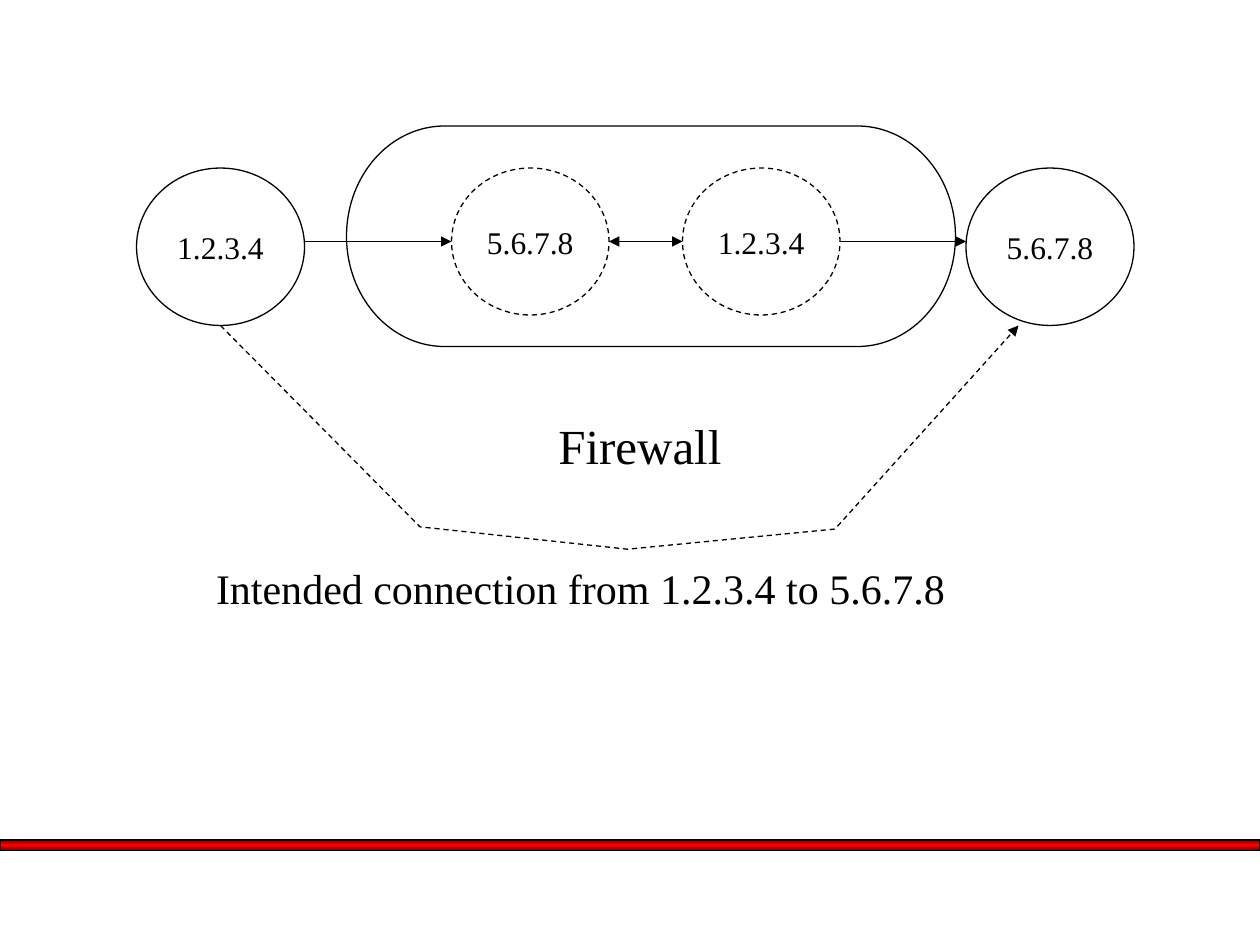
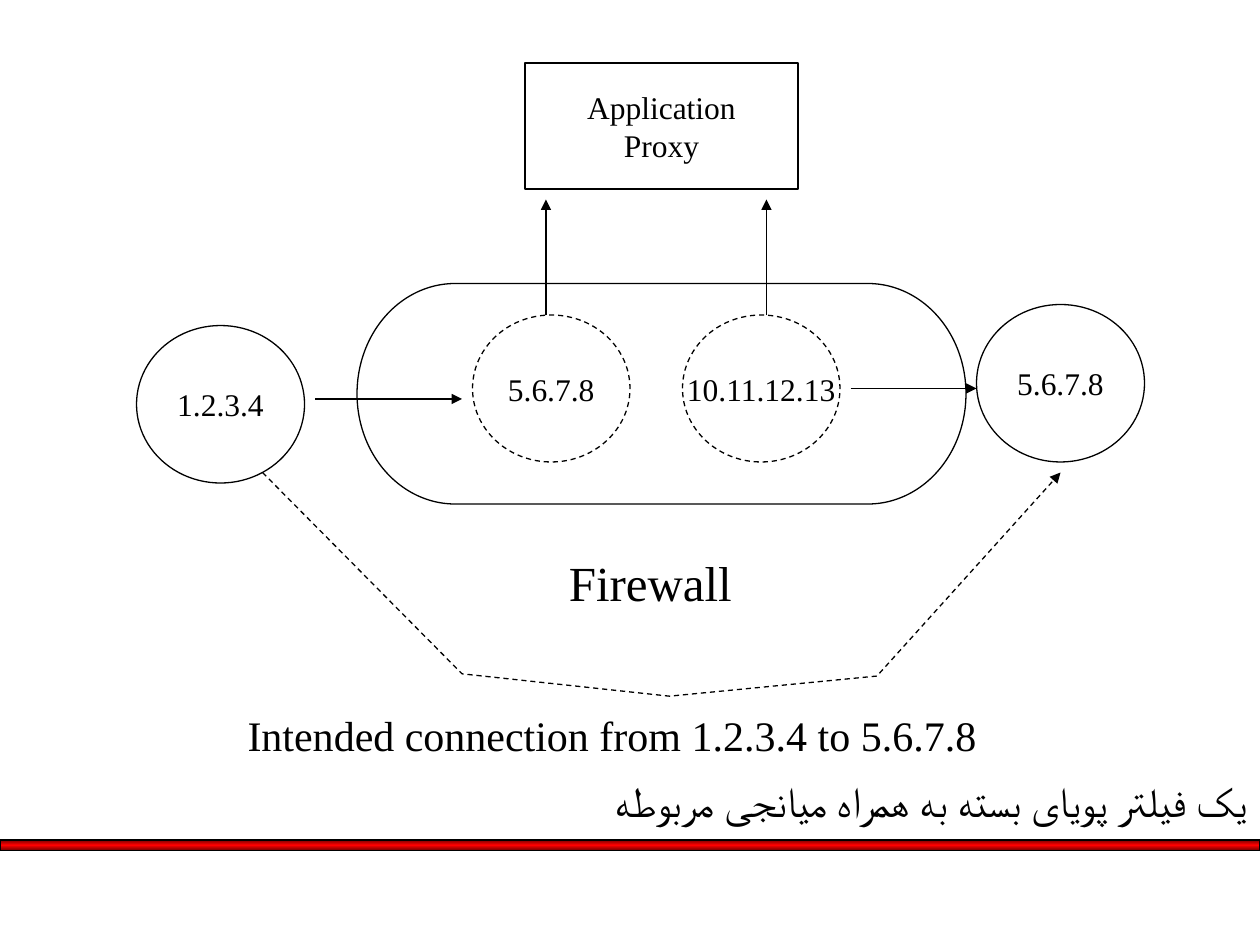
from pptx import Presentation
from pptx import util as u
from pptx.dml.color import RGBColor
from pptx.enum import dml, shapes, text
from pptx.oxml.ns import qn
from lxml import etree

BLACK = RGBColor(0x00, 0x00, 0x00)
RED = RGBColor(0xFF, 0x00, 0x00)
DARK_RED = RGBColor(0x76, 0x00, 0x00)
FONT = "Times New Roman"
WIDTH, HEIGHT = u.Inches(10), u.Inches(7.5)
COLS, ROWS = 120, 90
SHAPE = shapes.MSO_SHAPE
DASH = dml.MSO_LINE.DASH
CENTER, RIGHT = text.PP_ALIGN.CENTER, text.PP_ALIGN.RIGHT
HOST_SIZE, ENDPOINT_SIZE = (16, 15), (15, 14)
DETOUR_SHARES = [(0, 0), (0.25, 0.9), (0.51, 1), (0.77, 0.91), (1, 0)]


def grid(*cells):
    """Turn alternating column and row counts into lengths."""
    units = (WIDTH / COLS, HEIGHT / ROWS)
    return [u.Emu(round(n * units[i % 2])) for i, n in enumerate(cells)]


def write(tf, words, size=18, align=None, wrap=False, middle=False, rtl=False):
    tf.word_wrap = wrap
    tf.vertical_anchor = text.MSO_ANCHOR.MIDDLE if middle else text.MSO_ANCHOR.TOP
    p = tf.paragraphs[0]
    p.text = words
    p.alignment = align
    if rtl:
        p._p.get_or_add_pPr().set("rtl", "1")
    for r in p.runs:
        r.font.name, r.font.size = FONT, u.Pt(size)
        r.font.color.rgb = BLACK
        etree.SubElement(r._r.get_or_add_rPr(), qn("a:cs"), typeface=FONT)


def label(s, box, words, **style):
    write(s.shapes.add_textbox(*grid(*box)).text_frame, words, **style)


def outline(sp, dash=None, head=False, tail=False):
    sp.line.color.rgb = BLACK
    sp.line.width = u.Pt(0.75)
    if dash:
        sp.line.dash_style = dash
    ln = sp.line._get_or_add_ln()
    for tag, wanted in (("a:headEnd", head), ("a:tailEnd", tail)):
        if wanted:
            etree.SubElement(ln, qn(tag), type="triangle")


def node(s, kind, box, words=None, dash=None):
    sp = s.shapes.add_shape(kind, *grid(*box))
    sp.shadow.inherit = False
    sp.fill.background()
    outline(sp, dash)
    if words:
        write(sp.text_frame, words, align=CENTER, middle=True)


def arrow(s, start, end, head=False):
    c = s.shapes.add_connector(shapes.MSO_CONNECTOR.STRAIGHT, *grid(*start, *end))
    outline(c, head=head, tail=True)
    etree.SubElement(c._element.spPr, qn("a:effectLst"))


def host(s, col, row, address):
    node(s, SHAPE.FLOWCHART_CONNECTOR, (col, row, *HOST_SIZE), address)


def firewall(s, box, endpoints, inset, caption_drop):
    """Draw the firewall, its (column offset, address) endpoints and its caption."""
    col, row, _, height = box
    for offset, address in endpoints:
        node(s, SHAPE.FLOWCHART_CONNECTOR,
             (col + offset, row + inset, *ENDPOINT_SIZE), address, DASH)
    node(s, SHAPE.FLOWCHART_TERMINATOR, box)
    label(s, (col + 19, row + height + caption_drop, 20.9, 6.8), "Firewall", size=28)


def intended_connection(s, box, caption_col):
    """Draw the dashed detour through the box and its caption below."""
    col, row, width, height = box
    points = [grid(col + x * width, row + y * height) for x, y in DETOUR_SHARES]
    fb = s.shapes.build_freeform(*points[0])
    fb.add_line_segments(points[1:], close=False)
    sp = fb.convert_to_shape()
    sp.shadow.inherit = False
    sp.fill.background()
    outline(sp, DASH, tail=True)
    label(s, (caption_col, row + 22, 83, 6),
          "Intended connection from 1.2.3.4 to 5.6.7.8", size=24)


def master_band(prs, s):
    """Build the red band on a slide and move it to the master."""
    sp = s.shapes.add_shape(SHAPE.RECTANGLE, *grid(0, 80, COLS, 1))
    sp.shadow.inherit = False
    outline(sp)
    sp.fill.gradient()
    sp.fill.gradient_angle = 270
    stops = sp.fill._fill._gradFill.find(qn("a:gsLst"))
    for gs in list(stops):
        stops.remove(gs)
    for pos, color in ((0, DARK_RED), (50, RED), (100, DARK_RED)):
        gs = etree.SubElement(stops, qn("a:gs"), pos=str(pos * 1000))
        etree.SubElement(gs, qn("a:srgbClr"), val=str(color))
    sp._element.nvSpPr.cNvPr.set("id", "99")
    prs.slide_master.shapes._spTree.append(sp._element)


def transparent_firewall(s):
    host(s, 13, 16, "1.2.3.4")
    host(s, 92, 16, "5.6.7.8")
    firewall(s, (33, 12, 58, 21), [(32, "1.2.3.4"), (10, "5.6.7.8")], 4, 6)
    arrow(s, (29, 23), (43, 23))
    arrow(s, (80, 23), (92, 23))
    arrow(s, (58, 23), (65, 23), head=True)
    intended_connection(s, (21, 31, 76, 21.3), 19.4)


def proxied_firewall(s):
    host(s, 13, 31, "1.2.3.4")
    host(s, 93, 29, "5.6.7.8")
    firewall(s, (34, 27, 58, 21), [(31, "10.11.12.13"), (11, "5.6.7.8")], 3, 4)
    node(s, SHAPE.FLOWCHART_PROCESS, (50, 6, 26, 12), "Application\nProxy")
    arrow(s, (30, 38), (44, 38))
    arrow(s, (81, 37), (93, 37))
    for col in (52, 73):
        arrow(s, (col, 30), (col, 19))
    intended_connection(s, (25, 45, 76, 21.3), 22.4)
    label(s, (3, 73.3, 117, 6), "یک فیلتر پویای بسته به همراه میانجی مربوطه",
          size=24, align=RIGHT, wrap=True, rtl=True)


def main():
    prs = Presentation()
    prs.slide_width, prs.slide_height = WIDTH, HEIGHT
    blank = prs.slide_layouts[6]
    first = prs.slides.add_slide(blank)
    master_band(prs, first)
    transparent_firewall(first)
    proxied_firewall(prs.slides.add_slide(blank))
    prs.save("out.pptx")


if __name__ == "__main__":
    main()
